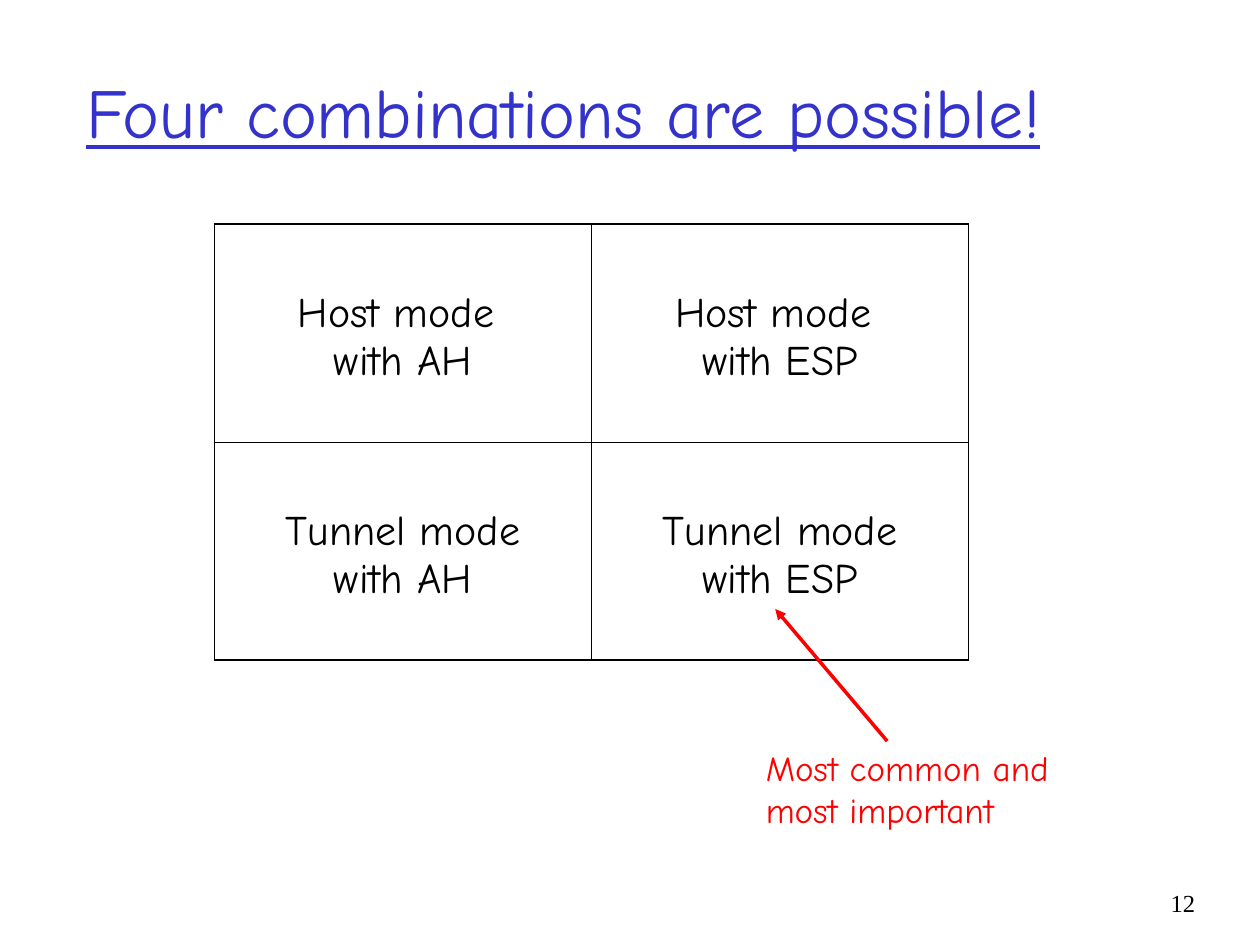
from lxml import etree
from pptx import Presentation
from pptx.dml.color import RGBColor
from pptx.enum import shapes, text
from pptx.oxml import ns
from pptx.util import Pt

HAND = "Comic Neue"
BLACK, BLUE, RED = "000000", "3333CC", "FF0000"
THIN, THICK = 0.45, 1.08


def color(hex_string):
    return RGBColor.from_string(hex_string)


def write(frame, words, size, font=HAND, ink=BLACK, align="LEFT",
          underline=None, wrap=True):
    """Fill the first paragraph; a newline becomes a line break."""
    frame.word_wrap = wrap
    paragraph = frame.paragraphs[0]
    paragraph.text = words
    paragraph.alignment = getattr(text.PP_ALIGN, align)
    for run in paragraph.runs:
        run.font.name = font
        run.font.size = Pt(size)
        run.font.color.rgb = color(ink)
        run.font.underline = underline


def add_element(parent, tag, **attributes):
    return etree.SubElement(parent, ns.qn(tag), attributes)


def add_title(slide, box, words):
    title = slide.shapes.title
    title.left, title.top, title.width, title.height = map(Pt, box)
    title.text_frame.auto_size = text.MSO_AUTO_SIZE.NONE
    title.text_frame.vertical_anchor = text.MSO_ANCHOR.MIDDLE
    write(title.text_frame, words, 40, ink=BLUE, underline=True)


def set_borders(cell, widths):
    properties = cell._tc.get_or_add_tcPr()
    for position, (side, width) in enumerate(widths.items()):
        line = etree.Element(ns.qn(f"a:ln{side}"), w=str(Pt(width)))
        fill = add_element(line, "a:solidFill")
        add_element(fill, "a:srgbClr", val=BLACK)
        properties.insert(position, line)


def add_mode_grid(slide, box, modes):
    """Table with thick outer and thin inner borders."""
    rows, columns = len(modes), len(modes[0])
    table = slide.shapes.add_table(rows, columns, *map(Pt, box)).table
    table.first_row = table.horz_banding = False
    for r, mode_row in enumerate(modes):
        for c, mode in enumerate(mode_row):
            cell = table.cell(r, c)
            cell.fill.background()
            cell.margin_top = Pt(37.5)
            write(cell.text_frame, mode, 24, align="CENTER")
            set_borders(cell, {
                "L": THIN if c else THICK,
                "R": THIN if c < columns - 1 else THICK,
                "T": THIN if r else THICK,
                "B": THIN if r < rows - 1 else THICK,
            })


def add_callout(slide, box, words):
    """Note with an arrow rising from its top edge to the left."""
    left, top, width, height = box
    arrow = slide.shapes.add_connector(
        shapes.MSO_CONNECTOR.STRAIGHT,
        Pt(left + 76.5), Pt(top + 0.5), Pt(left + 12.5), Pt(top - 75))
    arrow.line.color.rgb = color(RED)
    arrow.line.width = Pt(2)
    add_element(arrow.line._get_or_add_ln(), "a:tailEnd", type="triangle")
    add_element(arrow._element.spPr, "a:effectLst")
    note = slide.shapes.add_textbox(*map(Pt, box))
    write(note.text_frame, words, 20, ink=RED, wrap=False)
    note.text_frame.auto_size = text.MSO_AUTO_SIZE.SHAPE_TO_FIT_TEXT


def add_page_number(slide, box, number):
    page = slide.shapes.add_textbox(*map(Pt, box))
    write(page.text_frame, number, 14, font="Times New Roman", align="RIGHT")


def main():
    deck = Presentation()
    deck.slide_width, deck.slide_height = Pt(720), Pt(540)
    slide = deck.slides.add_slide(deck.slide_layouts[5])
    add_page_number(slide, (654, 504, 36, 36), "12")
    add_title(slide, (42, 18, 612, 90), "Four combinations are possible!")
    add_mode_grid(slide, (122.5, 128, 431, 249), [
        [f"{mode}\nwith {protocol}" for protocol in ("AH", "ESP")]
        for mode in ("Host mode ", "Tunnel mode")
    ])
    add_callout(slide, (430.5, 423, 176.5, 55.5),
                "Most common and\nmost important")
    deck.save("out.pptx")


if __name__ == "__main__":
    main()
